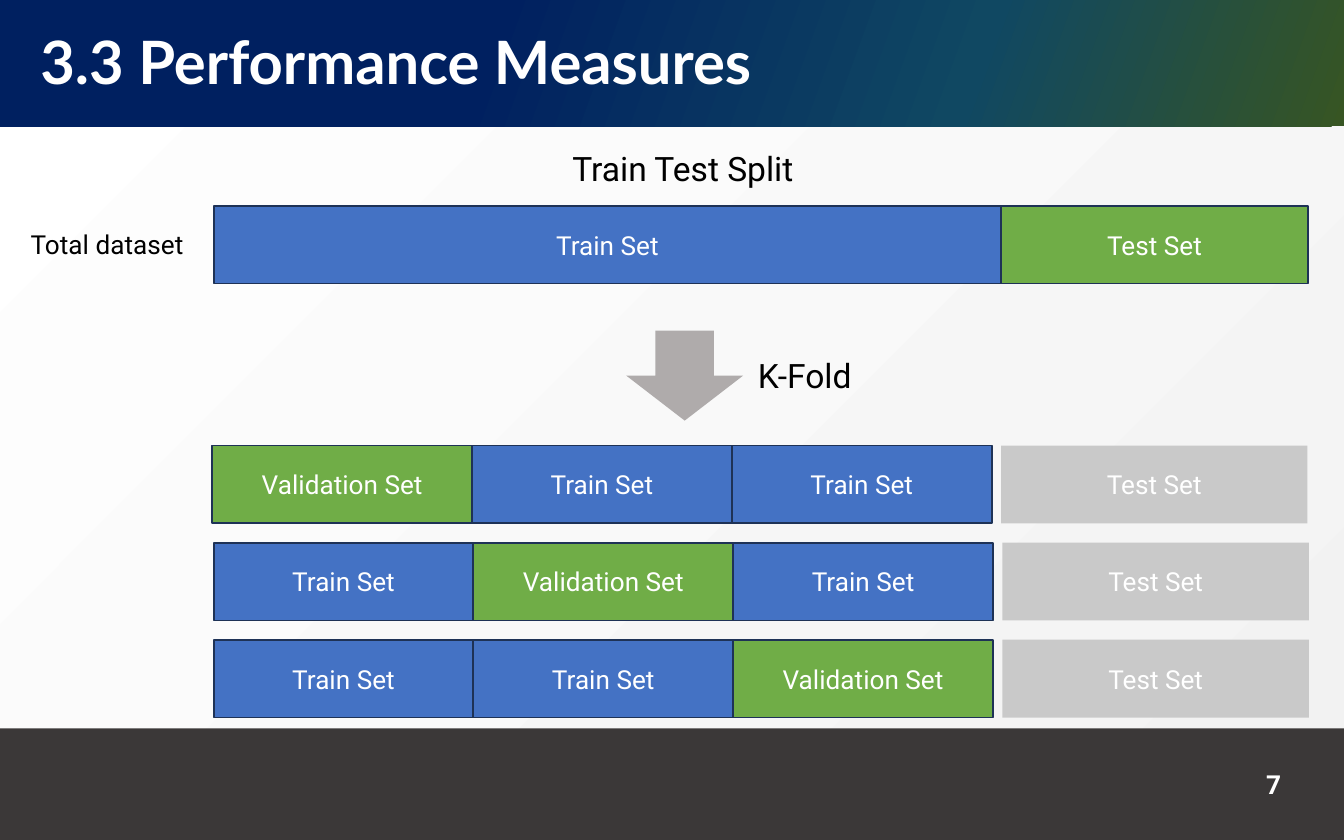
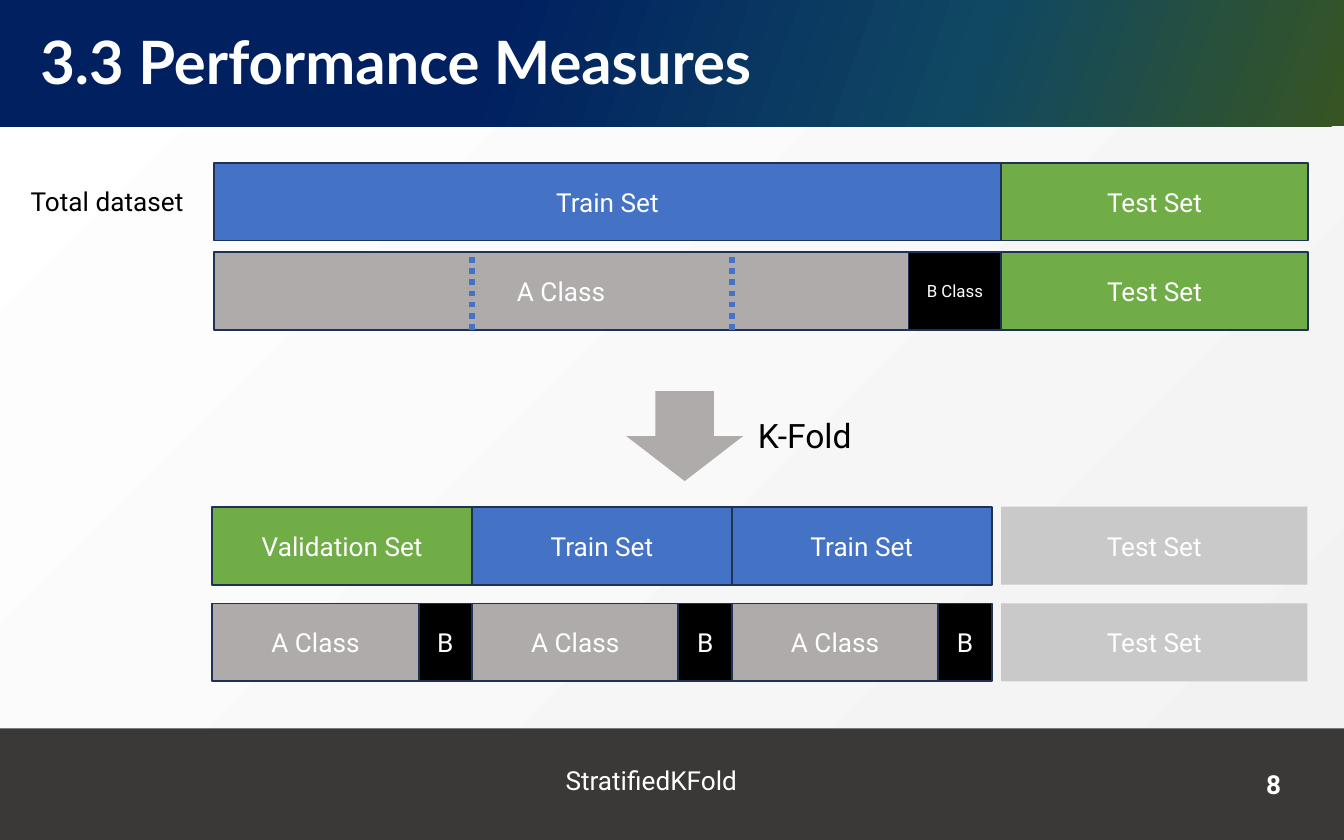
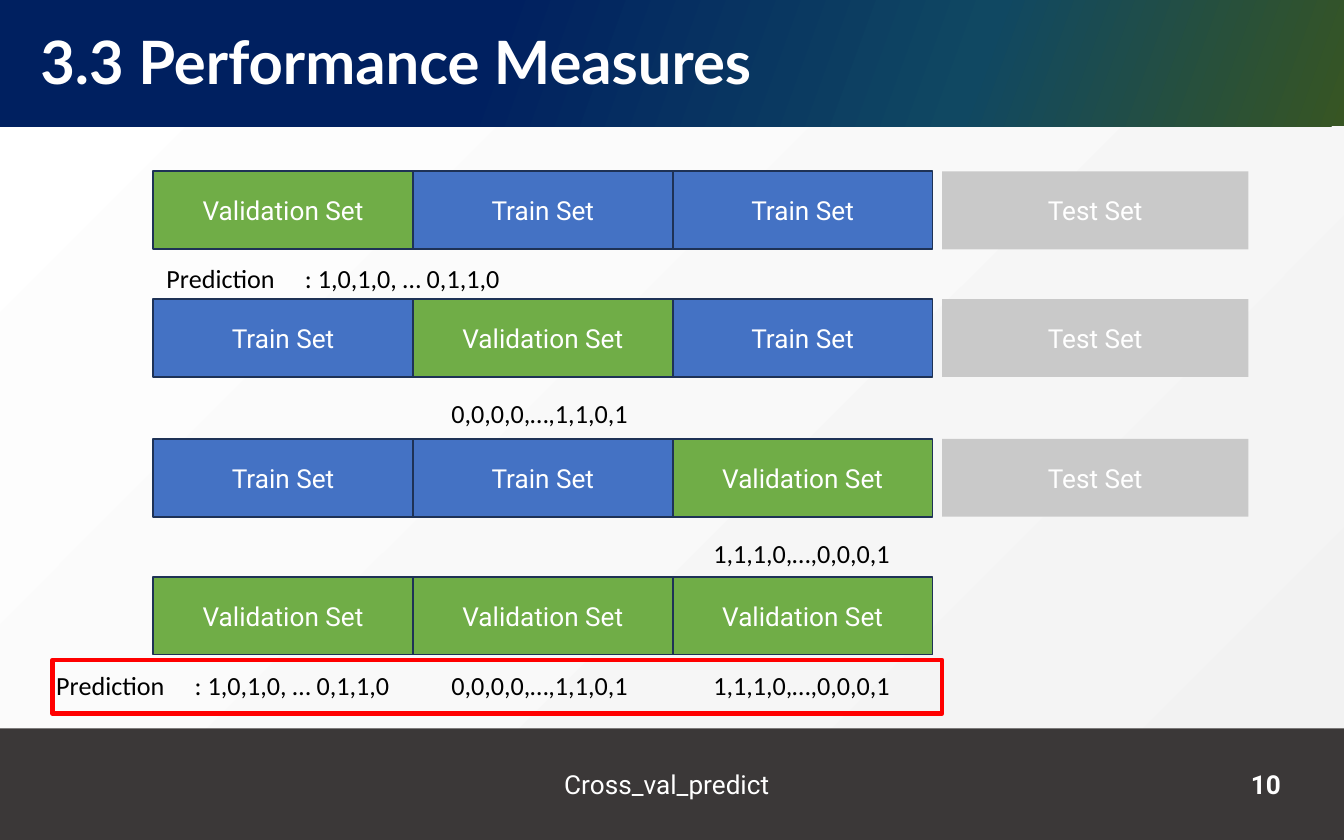
from dataclasses import dataclass
from typing import NamedTuple, Optional

from lxml.etree import SubElement
from pptx import Presentation
from pptx.dml.color import RGBColor
from pptx.enum.dml import MSO_LINE
from pptx.enum.shapes import MSO_CONNECTOR, MSO_SHAPE
from pptx.enum.text import MSO_ANCHOR, MSO_AUTO_SIZE, PP_ALIGN
from pptx.oxml.ns import qn
from pptx.util import Emu, Inches, Pt

CELL = Inches(0.1)
COLS, ROWS = 100, 62.5
BAR_ROWS = 5.8
FOLDS = 3
FOLD_COLS = 19.33
HELD_OUT_GAP = 0.7
TEST_COLS = 22.8
TRAIN_COLS = 58.6


@dataclass(frozen=True)
class Theme:
    white: str = "FFFFFF"
    black: str = "000000"
    train: str = "4472C4"
    evaluation: str = "70AD47"
    held_out: str = "C9C9C9"
    grey: str = "AFABAB"
    outline: str = "1E3256"
    footer: str = "3B3838"
    highlight: str = "FF0000"
    page: tuple = ((0, "FFFFFF"), (100, "F2F2F2"))
    header: tuple = ((0, "375523"), (28, "104862"), (64, "002060"), (100, "002060"))
    title_font: str = "Lato"
    body_font: str = "Roboto"
    data_font: str = "Calibri"
    title_size: float = 32
    heading_size: float = 18
    body_size: float = 14
    small_size: float = 9


THEME = Theme()


class Box(NamedTuple):
    left: float
    top: float
    width: float
    height: float


@dataclass(frozen=True)
class Block:
    text: str
    cols: float
    fill: str
    outline: Optional[str] = THEME.outline
    size: float = THEME.body_size


TRAIN = Block("Train Set", FOLD_COLS, THEME.train)
VALIDATION = Block("Validation Set", FOLD_COLS, THEME.evaluation)
TEST = Block("Test Set", TEST_COLS, THEME.evaluation)
HELD_OUT = Block("Test Set", TEST_COLS, THEME.held_out, None)
ALL_TRAIN = Block("Train Set", TRAIN_COLS, THEME.train)
A_CLASS = Block("A Class", 51.7, THEME.grey)
B_CLASS = Block("B Class", 6.9, THEME.black, size=THEME.small_size)
A_FOLD = Block("A Class", 15.35, THEME.grey)
B_FOLD = Block("B", 3.98, THEME.black)

PREDICTIONS = ("Prediction\t: 1,0,1,0, … 0,1,1,0", "0,0,0,0,…,1,1,0,1", "1,1,1,0,…,0,0,0,1")


def grid(n: float) -> Emu:
    return Emu(round(n * CELL))


def place(sp, box: Box) -> None:
    sp.left, sp.top, sp.width, sp.height = map(grid, box)


def style_text(p, size: float, color: str, font: str, bold: bool = False) -> None:
    for r in p.runs:
        r.font.size = Pt(size)
        r.font.name = font
        r.font.bold = bold
        r.font.color.rgb = RGBColor.from_string(color)


def set_gradient(fill, element, stops: tuple, angle: float) -> None:
    fill.gradient()
    fill.gradient_angle = 360 - angle
    stop_list = next(element.iter(qn("a:gsLst")))
    for old in list(stop_list):
        stop_list.remove(old)
    for position, color in stops:
        stop = SubElement(stop_list, qn("a:gs"), pos=str(position * 1000))
        SubElement(stop, qn("a:srgbClr"), val=color)


def add_shape(slide, box: Box, fill: Optional[str] = None, outline: Optional[str] = None,
              weight: float = 1, kind=MSO_SHAPE.RECTANGLE):
    sp = slide.shapes.add_shape(kind, *map(grid, box))
    sp.shadow.inherit = False
    if fill:
        sp.fill.solid()
        sp.fill.fore_color.rgb = RGBColor.from_string(fill)
    else:
        sp.fill.background()
    if outline:
        sp.line.color.rgb = RGBColor.from_string(outline)
        sp.line.width = Pt(weight)
    else:
        sp.line.fill.background()
    return sp


def add_text(slide, text: str, box: Box, size: float = THEME.body_size,
             color: str = THEME.black, font: str = THEME.body_font,
             bold: bool = False, align=PP_ALIGN.LEFT, wrap: bool = False):
    tf = slide.shapes.add_textbox(*map(grid, box)).text_frame
    tf.word_wrap = wrap
    tf.text = text
    p = tf.paragraphs[0]
    p.alignment = align
    style_text(p, size, color, font, bold)
    return p


def add_prediction(slide, fold: int, left: float, top: float) -> None:
    text = PREDICTIONS[fold]
    tabbed = "\t" in text
    box = Box(left, top, 27.5 if tabbed else 15.3, 3.4)
    p = add_text(slide, text, box, font=THEME.data_font, wrap=tabbed)
    if tabbed:
        tabs = SubElement(p._p.get_or_add_pPr(), qn("a:tabLst"))
        SubElement(tabs, qn("a:tab"), pos=str(grid(10.3)), algn="l")


def add_row(slide, left: float, top: float, blocks: list[Block]) -> None:
    for block in blocks:
        sp = add_shape(slide, Box(left, top, block.cols, BAR_ROWS), block.fill, block.outline)
        tf = sp.text_frame
        tf.word_wrap = True
        tf.vertical_anchor = MSO_ANCHOR.MIDDLE
        tf.text = block.text
        tf.paragraphs[0].alignment = PP_ALIGN.CENTER
        style_text(tf.paragraphs[0], block.size, THEME.white, THEME.body_font)
        left += block.cols


def add_held_out(slide, left: float, top: float) -> None:
    add_row(slide, left + FOLDS * FOLD_COLS + HELD_OUT_GAP, top, [HELD_OUT])


def add_fold_row(slide, left: float, top: float, validation: int) -> None:
    add_row(slide, left, top, [VALIDATION if i == validation else TRAIN for i in range(FOLDS)])
    add_held_out(slide, left, top)


def add_total_row(slide, top: float) -> None:
    add_row(slide, 15.9, top, [ALL_TRAIN, TEST])
    add_text(slide, "Total dataset", Box(1.3, top + 1.2, 14.6, 3.4))


def add_k_fold_arrow(slide, top: float) -> None:
    add_shape(slide, Box(46.6, top, 8.7, 6.7), THEME.grey, kind=MSO_SHAPE.DOWN_ARROW)
    add_text(slide, "K-Fold", Box(55.4, top + 1.3, 10.4, 4), THEME.heading_size)


def add_fold_border(slide, col: float, top: float) -> None:
    line = slide.shapes.add_connector(
        MSO_CONNECTOR.STRAIGHT, grid(col), grid(top + BAR_ROWS), grid(col), grid(top))
    line.line.color.rgb = RGBColor.from_string(THEME.train)
    line.line.width = Pt(3)
    line.line.dash_style = MSO_LINE.ROUND_DOT
    SubElement(line._element.spPr, qn("a:effectLst"))


def add_caption(slide, text: str, box: Box) -> None:
    add_text(slide, text, box, color=THEME.white)


def add_bands(slide, layout) -> None:
    header = add_shape(slide, Box(0, 0, COLS, 9.4), THEME.white)
    set_gradient(header.fill, header._element, THEME.header, 200)
    footer = add_shape(slide, Box(0, 54.2, COLS, ROWS - 54.2), THEME.footer)
    for index, band in enumerate((header, footer), start=2):
        layout.shapes._spTree.insert(index, band._element)


def new_slide(prs, layout, number: int):
    s = prs.slides.add_slide(layout)
    title = s.shapes.title
    place(title, Box(0, 0, COLS, 9.7))
    tf = title.text_frame
    tf.text = "3.3 Performance Measures"
    tf.auto_size = MSO_AUTO_SIZE.NONE
    tf.vertical_anchor = MSO_ANCHOR.MIDDLE
    p = tf.paragraphs[0]
    p.alignment = PP_ALIGN.LEFT
    p.line_spacing = 0.9
    p._p.get_or_add_pPr().set("marL", str(grid(2)))
    p._p.get_or_add_pPr().set("indent", "0")
    style_text(p, THEME.title_size, THEME.white, THEME.title_font, True)
    add_text(s, str(number), Box(89, 56.7, 7.3, 3.3), color=THEME.white,
             bold=True, align=PP_ALIGN.RIGHT, wrap=True)
    return s


def draw_k_fold(s) -> None:
    add_total_row(s, 15.3)
    add_text(s, "Train Test Split", Box(41.6, 10.5, 20.5, 4), THEME.heading_size)
    add_k_fold_arrow(s, 24.6)
    for fold, left in enumerate((15.8, 15.9, 15.9)):
        add_fold_row(s, left, 33.15 + 7.22 * fold, fold)


def draw_stratified(s) -> None:
    left, class_top = 15.8, 18.75
    add_total_row(s, 12.1)
    add_k_fold_arrow(s, 29.1)
    add_fold_row(s, left, 37.7, 0)
    add_row(s, left, 44.9, [A_FOLD, B_FOLD] * FOLDS)
    add_held_out(s, left, 44.9)
    add_row(s, 15.9, class_top, [A_CLASS, B_CLASS, TEST])
    for fold in range(1, FOLDS):
        add_fold_border(s, left + fold * FOLD_COLS, class_top)
    add_caption(s, "StratifiedKFold", Box(41.1, 56.4, 17, 3.4))


def draw_cross_val_predict(s) -> None:
    left = 11.4
    value_cols = (left, 32.6, 52.1)
    for fold, (top, value_top) in enumerate(((12.75, 19), (22.25, 29.1), (32.65, 39.5))):
        add_fold_row(s, left, top, fold)
        add_prediction(s, fold, value_cols[fold], value_top)
    add_row(s, left, 42.9, [VALIDATION] * FOLDS)
    for fold, col in enumerate((3.2, *value_cols[1:])):
        add_prediction(s, fold, col, 49.3)
    add_shape(s, Box(3.9, 49.1, 66.2, 4), outline=THEME.highlight, weight=2.25)
    add_caption(s, "Cross_val_predict", Box(41, 56.7, 19.6, 3.4))


def main() -> None:
    prs = Presentation()
    prs.slide_width, prs.slide_height = grid(COLS), grid(ROWS)
    master = prs.slide_master
    set_gradient(master.background.fill, master._element, THEME.page, 45)
    layout = prs.slide_layouts.get_by_name("Title Only")
    pages = ((7, draw_k_fold), (8, draw_stratified), (10, draw_cross_val_predict))
    for number, draw in pages:
        draw(new_slide(prs, layout, number))
    add_bands(prs.slides[0], layout)
    prs.save("out.pptx")


if __name__ == "__main__":
    main()
